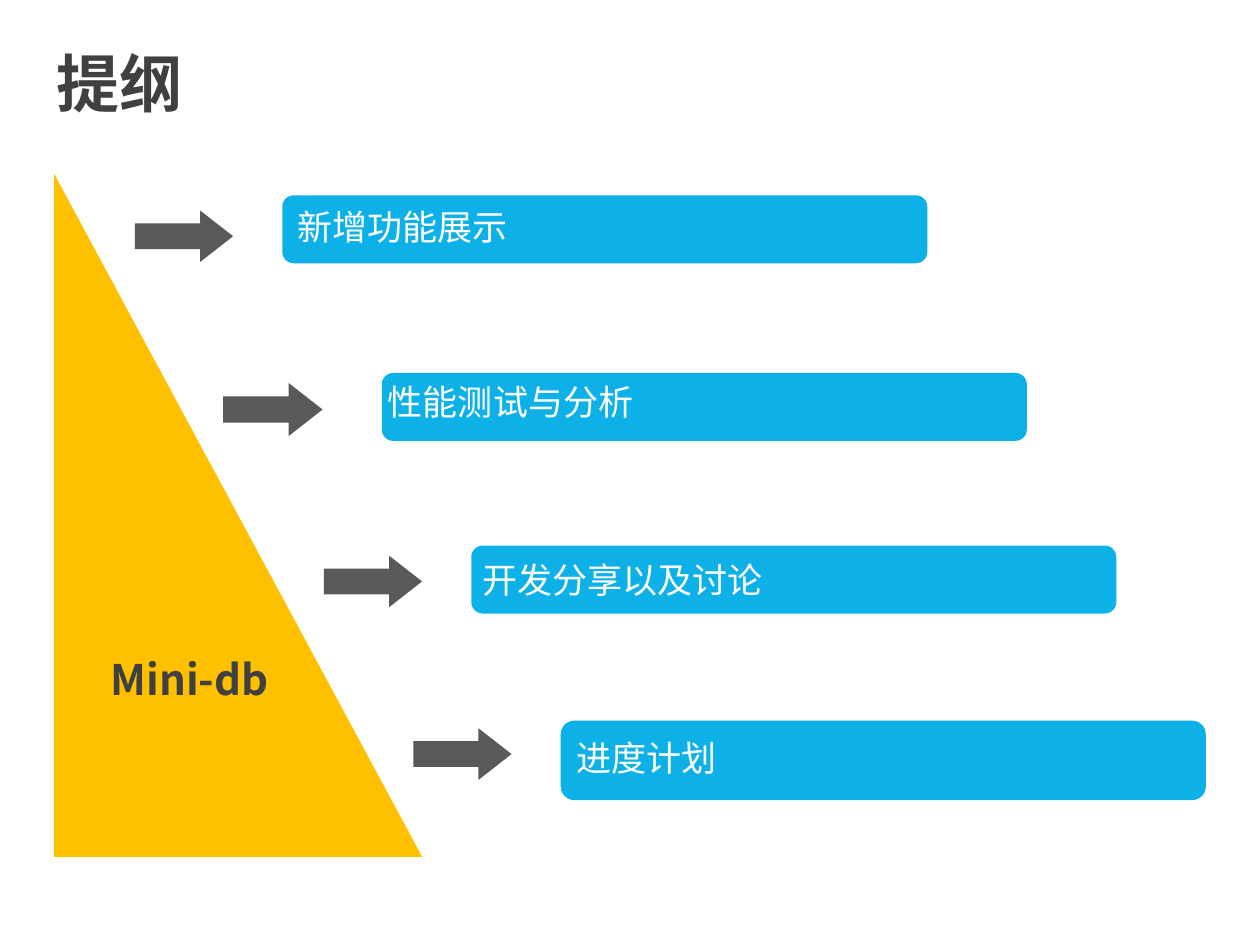
from dataclasses import dataclass

from lxml.etree import SubElement
from pptx import Presentation
from pptx.dml.color import RGBColor
from pptx.enum.shapes import MSO_SHAPE as Preset
from pptx.enum.text import MSO_ANCHOR as Anchor, MSO_AUTO_SIZE as AutoSize, PP_ALIGN as Align
from pptx.oxml.ns import qn
from pptx.shapes.autoshape import Shape
from pptx.slide import Slide
from pptx.util import Inches, Pt


@dataclass(frozen=True)
class Theme:
    font: str = "Noto Sans CJK SC"
    ink: str = "404040"
    white: str = "FFFFFF"
    triangle: str = "FFC000"
    arrow: str = "595959"
    bar: str = "0EB1E7"
    title_size: int = 36
    name_size: int = 24
    topic_size: int = 20


@dataclass(frozen=True)
class Box:
    left: float
    top: float
    width: float
    height: float


@dataclass(frozen=True)
class Topic:
    text: str
    arrow: Box
    bar: Box
    label: Box


THEME = Theme()
TOPICS = (
    Topic("新增功能展示", Box(1.07, 1.67, 0.78, 0.41),
          Box(2.24, 1.55, 5.12, 0.54), Box(2.26, 1.58, 3.74, 0.42)),
    Topic("性能测试与分析", Box(1.77, 3.04, 0.79, 0.42),
          Box(3.03, 2.96, 5.12, 0.54), Box(2.98, 2.97, 4.35, 0.42)),
    Topic("开发分享以及讨论", Box(2.57, 4.41, 0.78, 0.41),
          Box(3.74, 4.33, 5.12, 0.54), Box(3.73, 4.38, 5.28, 0.42)),
    Topic("进度计划", Box(3.28, 5.78, 0.78, 0.41),
          Box(4.45, 5.72, 5.12, 0.63), Box(4.48, 5.8, 5.04, 0.87)),
)


def lengths(box: Box) -> tuple:
    """Give the box as left, top, width and height lengths."""
    return tuple(Inches(value) for value in (box.left, box.top, box.width, box.height))


def set_attributes(target: object, values: dict) -> None:
    """Set every format value on the target."""
    for name, value in values.items():
        setattr(target, name, value)


def write_text(shape: Shape, text: str, size: int, color: str,
               bold: bool = False, anchor: Anchor = Anchor.TOP) -> None:
    """Write one left-aligned line of text in the theme font."""
    frame = shape.text_frame
    set_attributes(frame, {"word_wrap": True, "auto_size": AutoSize.NONE,
                           "vertical_anchor": anchor})
    paragraph = frame.paragraphs[0]
    paragraph.alignment = Align.LEFT
    run = paragraph.add_run()
    run.text = text
    set_attributes(run.font, {"name": THEME.font, "size": Pt(size), "bold": bold})
    run.font.color.rgb = RGBColor.from_string(color)
    SubElement(run.font._element, qn("a:ea"), typeface=THEME.font)


def add_title(slide: Slide, text: str, box: Box) -> None:
    """Place and write the slide title."""
    title = slide.shapes.title
    set_attributes(title, dict(zip(("left", "top", "width", "height"), lengths(box))))
    write_text(title, text, THEME.title_size, THEME.ink, True, Anchor.MIDDLE)
    set_attributes(title.text_frame.paragraphs[0],
                   {"line_spacing": Pt(57.6), "space_before": Pt(0)})


def add_preset(slide: Slide, preset: Preset, box: Box, color: str,
               adjustments: tuple[float, ...] = ()) -> None:
    """Add a plain filled preset shape."""
    shape = slide.shapes.add_shape(preset, *lengths(box))
    for index, value in enumerate(adjustments):
        shape.adjustments[index] = value
    shape.shadow.inherit = False
    shape.fill.solid()
    shape.fill.fore_color.rgb = RGBColor.from_string(color)
    shape.line.fill.background()


def add_topic(slide: Slide, topic: Topic) -> None:
    """Add one topic as an arrow, a bar and its label."""
    add_preset(slide, Preset.RIGHT_ARROW, topic.arrow, THEME.arrow, (0.5, 0.64))
    add_preset(slide, Preset.ROUNDED_RECTANGLE, topic.bar, THEME.bar, (0.17,))
    label = slide.shapes.add_textbox(*lengths(topic.label))
    write_text(label, topic.text, THEME.topic_size, THEME.white)


def main() -> None:
    """Build and save the outline slide."""
    presentation = Presentation()
    set_attributes(presentation, {"slide_width": Inches(10), "slide_height": Inches(7.5)})
    slide = presentation.slides.add_slide(presentation.slide_layouts[5])
    add_title(slide, "提纲", Box(0.35, 0.36, 2.68, 0.39))
    add_preset(slide, Preset.RIGHT_TRIANGLE, Box(0.43, 1.38, 2.92, 5.42), THEME.triangle)
    for topic in TOPICS:
        add_topic(slide, topic)
    name = slide.shapes.add_textbox(*lengths(Box(0.78, 4.47, 2.68, 1.84)))
    write_text(name, "Mini-db", THEME.name_size, THEME.ink, True, Anchor.MIDDLE)
    presentation.save("out.pptx")


if __name__ == "__main__":
    main()
